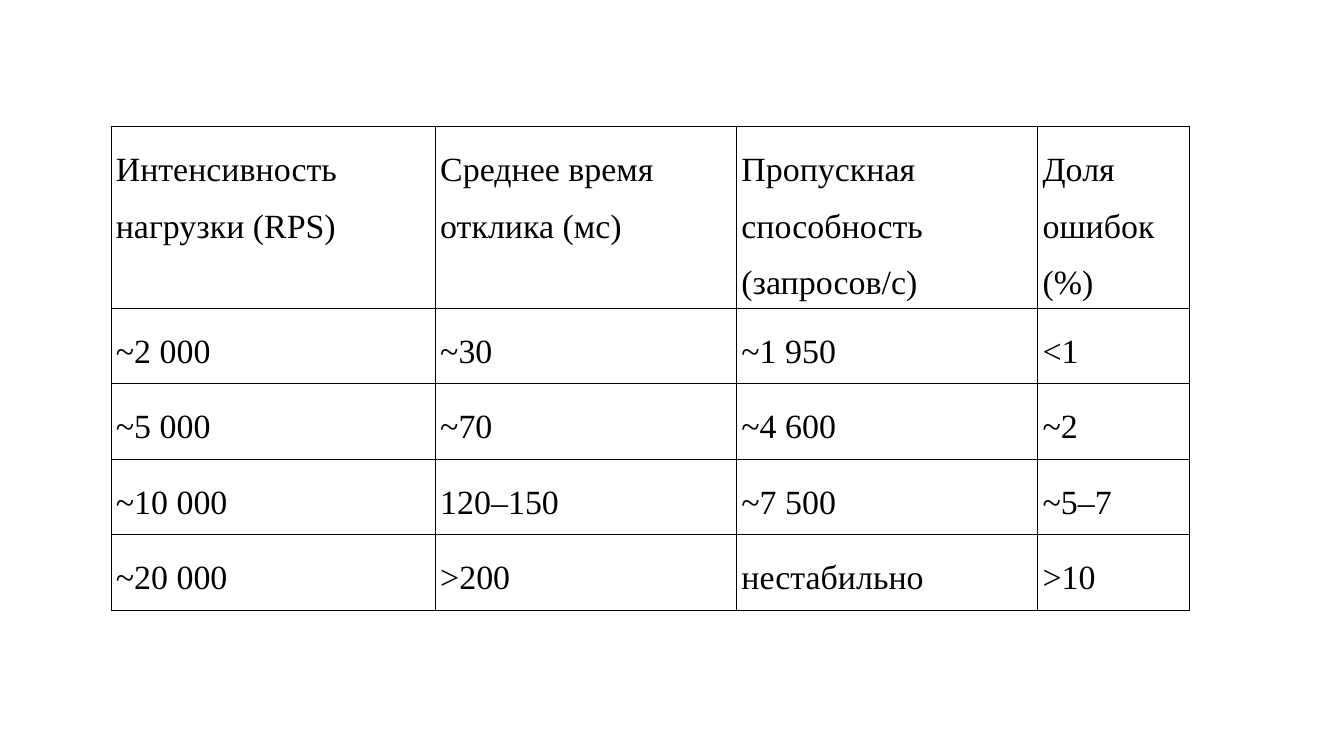
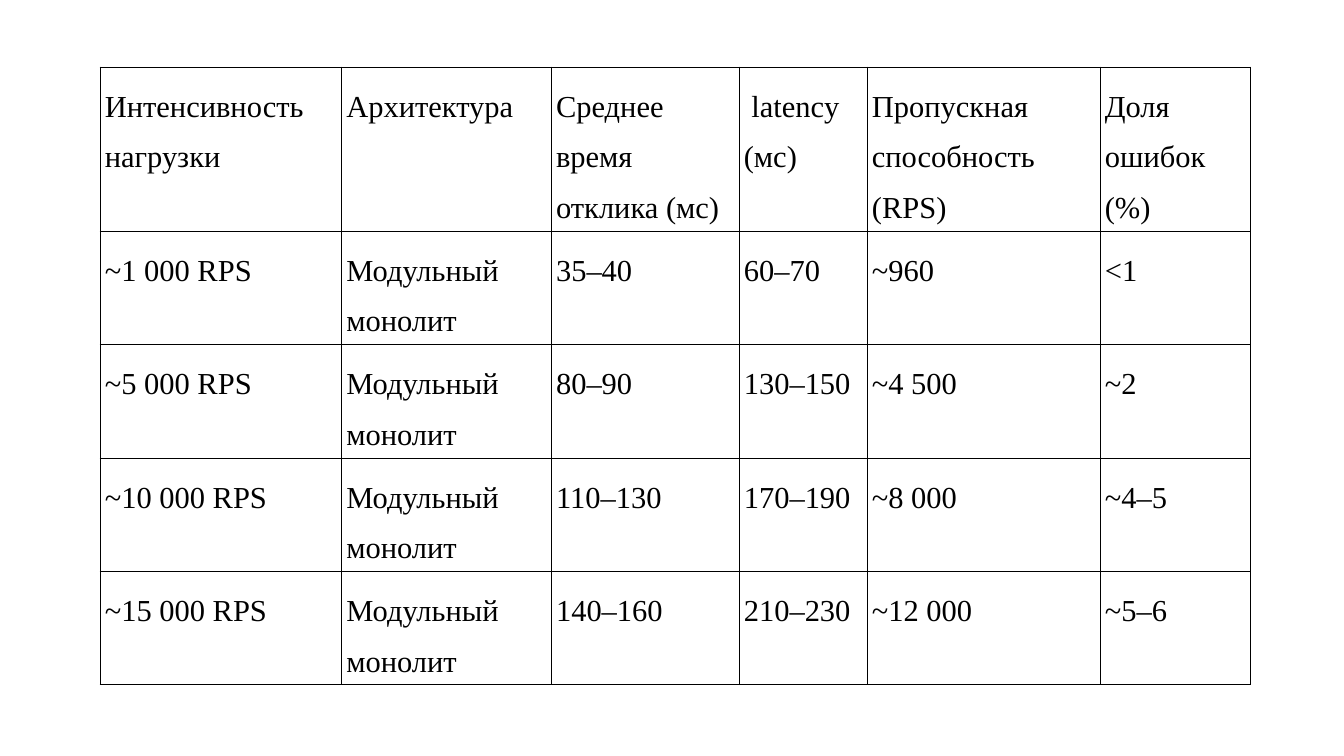
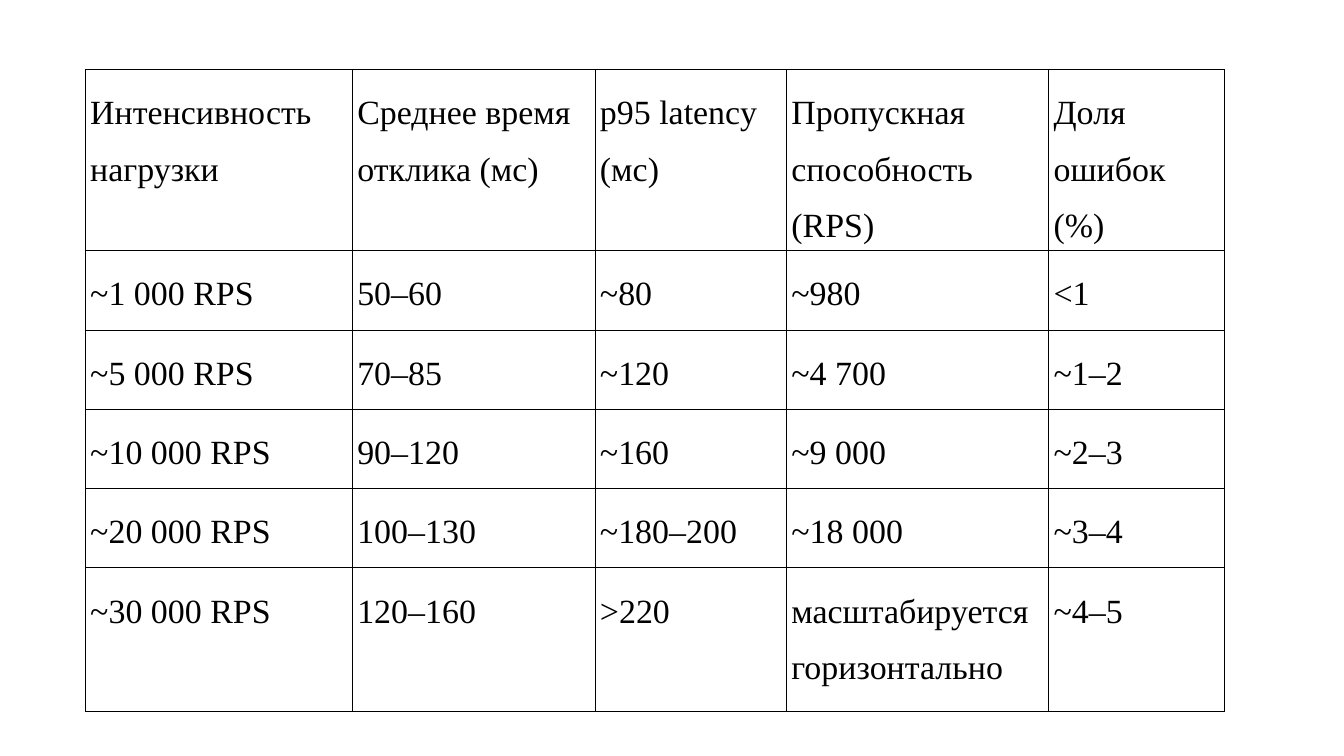
from dataclasses import dataclass

from lxml.etree import SubElement
from pptx import Presentation
from pptx.dml.color import RGBColor
from pptx.oxml.ns import qn
from pptx.slide import Slide
from pptx.table import _Cell as Cell
from pptx.util import Inches, Pt

# Shared look
BLACK = RGBColor(0x00, 0x00, 0x00)
FONT = "Times New Roman"
LINE_SPACING = 1.5
BORDER_WIDTH = Pt(0.57)
INSET_X, INSET_Y = Inches(0.04), Inches(0.05)
BLANK_LAYOUT = 6

MONOLITH = "Модульный монолит"


@dataclass(frozen=True)
class LoadTest:
    """Results of one load test; sizes in inches, text in points."""
    left: float
    top: float
    column_widths: list[float]
    row_heights: list[float]
    text_size: int
    rows: list[list[str]]


LOAD_TESTS = [
    LoadTest(
        left=0.91, top=1.04, text_size=20,
        column_widths=[2.66, 2.47, 2.47, 1.24],
        row_heights=[1.48] + [0.62] * 4,
        rows=[
            ["Интенсивность нагрузки (RPS)", "Среднее время отклика (мс)",
             "Пропускная способность (запросов/с)", "Доля ошибок (%)"],
            ["~2 000", "~30", "~1 950", "<1"],
            ["~5 000", "~70", "~4 600", "~2"],
            ["~10 000", "120–150", "~7 500", "~5–7"],
            ["~20 000", ">200", "нестабильно", ">10"],
        ],
    ),
    LoadTest(
        left=0.82, top=0.55, text_size=18,
        column_widths=[1.98, 1.72, 1.54, 1.05, 1.91, 1.23],
        row_heights=[1.32] + [0.91] * 4,
        rows=[
            ["Интенсивность нагрузки", "Архитектура", "Среднее время отклика (мс)",
             " latency (мс)", "Пропускная способность (RPS)", "Доля ошибок (%)"],
            ["~1 000 RPS", MONOLITH, "35–40", "60–70", "~960", "<1"],
            ["~5 000 RPS", MONOLITH, "80–90", "130–150", "~4 500", "~2"],
            ["~10 000 RPS", MONOLITH, "110–130", "170–190", "~8 000", "~4–5"],
            ["~15 000 RPS", MONOLITH, "140–160", "210–230", "~12 000", "~5–6"],
        ],
    ),
    LoadTest(
        left=0.7, top=0.57, text_size=20,
        column_widths=[2.19, 1.99, 1.57, 2.15, 1.44],
        row_heights=[1.48] + [0.65] * 4 + [1.18],
        rows=[
            ["Интенсивность нагрузки", "Среднее время отклика (мс)",
             "p95 latency (мс)", "Пропускная способность (RPS)", "Доля ошибок (%)"],
            ["~1 000 RPS", "50–60", "~80", "~980", "<1"],
            ["~5 000 RPS", "70–85", "~120", "~4 700", "~1–2"],
            ["~10 000 RPS", "90–120", "~160", "~9 000", "~2–3"],
            ["~20 000 RPS", "100–130", "~180–200", "~18 000", "~3–4"],
            ["~30 000 RPS", "120–160", ">220", "масштабируется горизонтально", "~4–5"],
        ],
    ),
]


def outline_cell(cell: Cell) -> None:
    """Draw a thin solid line on all four sides."""
    properties = cell._tc.get_or_add_tcPr()
    for side in ("a:lnL", "a:lnR", "a:lnT", "a:lnB"):
        line = SubElement(properties, qn(side), w=str(int(BORDER_WIDTH)))
        solid = SubElement(line, qn("a:solidFill"))
        SubElement(solid, qn("a:srgbClr"), val=str(BLACK))


def fill_cell(cell: Cell, text: str, text_size: int) -> None:
    outline_cell(cell)
    cell.fill.background()
    cell.margin_left = cell.margin_right = INSET_X
    cell.margin_top = cell.margin_bottom = INSET_Y
    paragraph = cell.text_frame.paragraphs[0]
    paragraph.line_spacing = LINE_SPACING
    run = paragraph.add_run()
    run.text = text
    run.font.name = FONT
    run.font.size = Pt(text_size)
    run.font.color.rgb = BLACK


def add_results(slide: Slide, test: LoadTest) -> None:
    results = slide.shapes.add_table(
        len(test.row_heights), len(test.column_widths),
        Inches(test.left), Inches(test.top),
        Inches(sum(test.column_widths)), Inches(sum(test.row_heights)),
    ).table
    results.first_row = results.horz_banding = False
    for column, width in zip(results.columns, test.column_widths):
        column.width = Inches(width)
    for row, height, texts in zip(results.rows, test.row_heights, test.rows):
        row.height = Inches(height)
        for cell, text in zip(row.cells, texts):
            fill_cell(cell, text, test.text_size)


def main() -> None:
    deck = Presentation()
    deck.slide_width, deck.slide_height = Inches(11.02), Inches(6.2)
    for test in LOAD_TESTS:
        add_results(deck.slides.add_slide(deck.slide_layouts[BLANK_LAYOUT]), test)
    deck.save("out.pptx")


if __name__ == "__main__":
    main()
